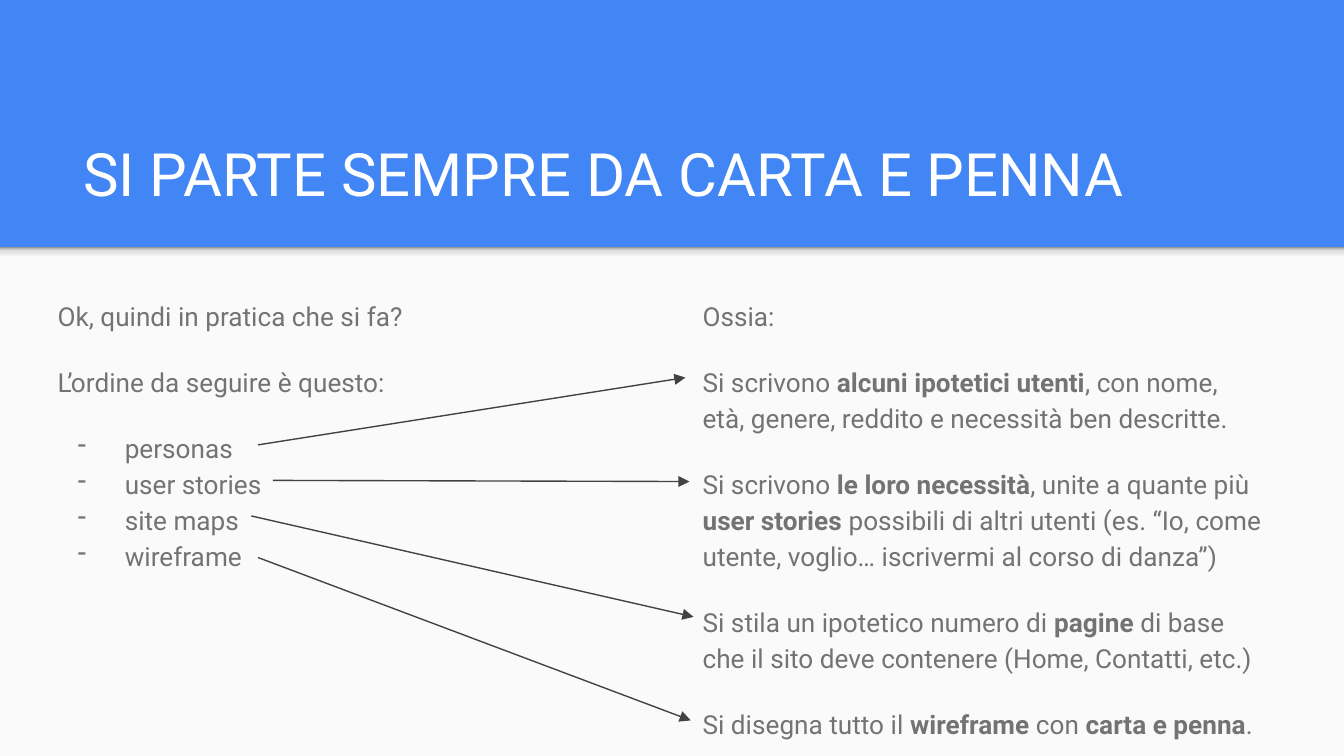
"""Build the slide that pairs each design step with its explanation."""
from pptx import Presentation
from pptx.dml.color import RGBColor
from pptx.enum.shapes import MSO_CONNECTOR as Connector, MSO_SHAPE as Shape
from pptx.enum.text import MSO_ANCHOR as Anchor
from pptx.oxml.ns import qn
from pptx.util import Inches, Pt
from lxml.etree import SubElement

BLUE = RGBColor(0x42, 0x85, 0xF4)
PAPER = RGBColor(0xFA, 0xFA, 0xFA)
WHITE = RGBColor(0xFF, 0xFF, 0xFF)
GREY = RGBColor(0x73, 0x73, 0x73)
DARK = RGBColor(0x42, 0x42, 0x42)
SHADE_STOPS = [(0, "F9F9F9"), (36, "F9F9F9"), (80, "DEDEDE"), (100, "999999")]
HEADER_ROWS = 32.7

deck = Presentation()
deck.slide_width, deck.slide_height = Inches(10), Inches(5.625)
COL, ROW = deck.slide_width / 100, deck.slide_height / 100
slide = deck.slides.add_slide(deck.slide_layouts[6])
slide.background.fill.solid()
slide.background.fill.fore_color.rgb = BLUE


def place(left, top, width, height):
    return int(left * COL), int(top * ROW), int(width * COL), int(height * ROW)


def write(area, lines, size, color, anchor=Anchor.TOP, spacing=None, gap=0):
    frame = slide.shapes.add_textbox(*place(*area)).text_frame
    frame.word_wrap = True
    frame.vertical_anchor = anchor
    frame.margin_left = frame.margin_right = Inches(0.1)
    frame.margin_top = frame.margin_bottom = Inches(0.1)
    for index, line in enumerate(lines):
        paragraph = frame.paragraphs[0] if index == 0 else frame.add_paragraph()
        for part, words in enumerate(line.split("**")):
            if words:
                run = paragraph.add_run()
                run.text = words
                if part % 2:
                    run.font.bold = True
        paragraph.line_spacing = spacing
        paragraph.space_before = Pt(gap if index else 0)
        paragraph.font.name = "Roboto"
        paragraph.font.size = Pt(size)
        paragraph.font.color.rgb = color
    return frame.paragraphs


paper = slide.shapes.add_shape(Shape.RECTANGLE, *place(0, HEADER_ROWS, 100, 100 - HEADER_ROWS))
paper.fill.solid()
paper.fill.fore_color.rgb = PAPER
shade = slide.shapes.add_shape(Shape.RECTANGLE, *place(0, HEADER_ROWS, 100, 2.15))
shade.fill.gradient()
shade.fill.gradient_angle = 90
stops = shade.element.spPr.find(qn("a:gradFill")).find(qn("a:gsLst"))
for stop in list(stops):
    stops.remove(stop)
for share, tone in SHADE_STOPS:
    stop = SubElement(stops, qn("a:gs"), pos=str(share * 1000))
    SubElement(stop, qn("a:srgbClr"), val=tone)
for panel in (paper, shade):
    panel.shadow.inherit = False
    panel.line.fill.background()

write((5.2, 14.4, 89.9, 14.93), ["SI PARTE SEMPRE DA CARTA E PENNA"], 32, WHITE, Anchor.BOTTOM)

explanations = [
    "Ossia:",
    "Si scrivono **alcuni ipotetici utenti**, con nome, età, genere, reddito e necessità ben descritte.",
    "Si scrivono **le loro necessità**, unite a quante più **user stories **possibili di altri utenti "
    "(es. “Io, come utente, voglio… iscrivermi al corso di danza”)",
    "Si stila un ipotetico numero di **pagine **di base che il sito deve contenere (Home, Contatti, etc.)",
    "Si disegna tutto il **wireframe **con **carta e penna**.",
]
write((51.3, 37.33, 43.7, 52.6), explanations, 14, GREY, spacing=1.15, gap=16)

intro = ["Ok, quindi in pratica che si fa?", "L’ordine da seguire è questo:"]
steps = ["personas", "user stories", "site maps", "wireframe"]
order = write((3.3, 37.33, 36.2, 59.9), intro + steps, 14, GREY, spacing=1.15, gap=16)
for number, step in enumerate(order[len(intro):]):
    if number:
        step.space_before = Pt(0)
    layout = step._p.get_or_add_pPr()
    layout.set("marL", str(Inches(0.5)))
    layout.set("indent", str(-Inches(0.35)))
    bullet_color = SubElement(layout, qn("a:buClr"))
    SubElement(bullet_color, qn("a:srgbClr"), val=str(GREY))
    SubElement(layout, qn("a:buChar"), char="-")
    layout.append(layout.find(qn("a:defRPr")))

links = [
    (19.2, 58.85, 51, 49.95),
    (20.3, 63.55, 51.3, 63.7),
    (18.7, 68.25, 51.6, 81.6),
    (19.2, 73.75, 51.4, 95.3),
]
for link in links:
    arrow = slide.shapes.add_connector(Connector.STRAIGHT, *place(*link))
    arrow.line.color.rgb = DARK
    arrow.line.width = Pt(0.75)
    SubElement(arrow.line._get_or_add_ln(), qn("a:tailEnd"), type="triangle")
    SubElement(arrow.element.spPr, qn("a:effectLst"))

deck.save("out.pptx")
